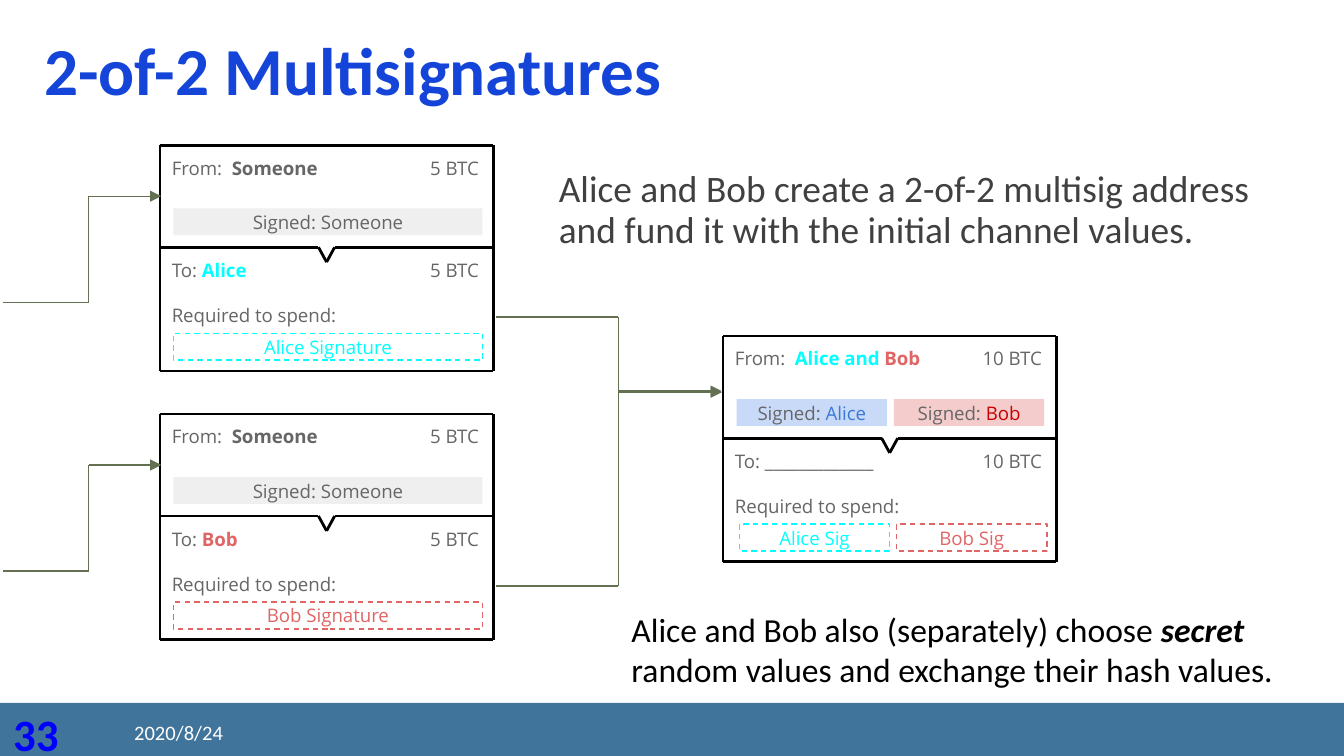
from itertools import pairwise

from lxml import etree
from pptx import Presentation
from pptx.dml.color import RGBColor
from pptx.enum.dml import MSO_LINE
from pptx.enum.shapes import MSO_CONNECTOR, MSO_SHAPE
from pptx.enum.text import MSO_ANCHOR as ANCHOR, PP_ALIGN as ALIGN
from pptx.oxml.ns import qn
from pptx.util import Inches, Pt

GRAY, CYAN, RED = "666666", "00FFFF", "E06666"
SMALL = {"size": Pt(10), "name": "Open Sans"}
CARD_W, DIVIDER_Y, CARD_H = 2.48, 0.76, 1.68


def color(hex_value):
    return RGBColor.from_string(hex_value)


def write(sp, runs, font, align=ALIGN.LEFT, anchor=ANCHOR.TOP, inset=0.1, spacing=None):
    """Fill a shape with one paragraph; runs are (text, hex colour, extra font values)."""
    tf = sp.text_frame
    frame = {"word_wrap": True, "vertical_anchor": anchor,
             "margin_left": Inches(0.1), "margin_right": Inches(0.1),
             "margin_top": Inches(inset), "margin_bottom": Inches(inset)}
    for key, value in frame.items():
        setattr(tf, key, value)
    p = tf.paragraphs[0]
    p.alignment, p.line_spacing = align, spacing
    for text, hex_value, extra in runs:
        r = p.add_run()
        r.text = text
        for key, value in (font | extra).items():
            setattr(r.font, key, value)
        r.font.color.rgb = color(hex_value)


def add_text(s, box, runs, font, **layout):
    write(s.shapes.add_textbox(*map(Inches, box)), runs, font, **layout)


def add_rect(s, box, fill=None, dash=None):
    sp = s.shapes.add_shape(MSO_SHAPE.RECTANGLE, *map(Inches, box))
    sp.shadow.inherit = False
    if fill:
        sp.fill.solid()
        sp.fill.fore_color.rgb = color(fill)
    else:
        sp.fill.background()
    if dash:
        sp.line.color.rgb = color(dash)
        sp.line.width = Pt(0.75)
        sp.line.dash_style = MSO_LINE.DASH
    else:
        sp.line.fill.background()
    return sp


def add_path(s, points, hex_value, width, arrow=False):
    """Join the points with straight connectors, with an optional arrowhead at the end."""
    for start, end in pairwise(points):
        line = s.shapes.add_connector(MSO_CONNECTOR.STRAIGHT, *map(Inches, start + end))
        line.line.color.rgb = color(hex_value)
        line.line.width = Pt(width)
        etree.SubElement(line._element.spPr, qn("a:effectLst"))
    if arrow:
        etree.SubElement(line.line._get_or_add_ln(), qn("a:tailEnd"), type="triangle")


def add_slots(s, x, y, slots):
    """Place one wide slot or two half slots side by side."""
    width = 2.3 if len(slots) == 1 else 1.12
    for i, (style, runs) in enumerate(slots):
        sp = add_rect(s, (x + i * 1.17, y, width, 0.2), **style)
        write(sp, runs, SMALL, ALIGN.CENTER, ANCHOR.MIDDLE)


def add_transaction(s, x, y, amount, sender, receiver, signed, required):
    # Frame halves and notched divider
    outlines = [
        [(0, DIVIDER_Y), (0, 0), (CARD_W, 0), (CARD_W, DIVIDER_Y)],
        [(0, DIVIDER_Y), (0, CARD_H), (CARD_W, CARD_H), (CARD_W, DIVIDER_Y)],
        [(0, DIVIDER_Y), (1.18, DIVIDER_Y), (1.24, 0.87), (1.3, DIVIDER_Y), (CARD_W, DIVIDER_Y)],
    ]
    for outline in outlines:
        add_path(s, [(x + dx, y + dy) for dx, dy in outline], "000000", 1.5)

    # Input and output rows
    for dy, label, party in ((0, "From:  ", sender), (0.76, "To: ", receiver)):
        add_text(s, (x - 0.01, y + dy, 1.62, 0.39), [(label, GRAY, {})] + party, SMALL)
        add_text(s, (x + 1.32, y + dy, 1.15, 0.39), [(amount, GRAY, {})], SMALL,
                 align=ALIGN.RIGHT)
    add_text(s, (x - 0.01, y + 1.1, 1.9, 0.38), [("Required to spend:", GRAY, {})], SMALL)

    # Signatures given and required
    add_slots(s, x + 0.1, y + 0.47, signed)
    add_slots(s, x + (0.1 if len(required) == 1 else 0.12), y + 1.4, required)


def signed_by(name, fill, hex_value):
    return {"fill": fill}, [("Signed: ", GRAY, {}), (name, hex_value, {})]


def needs(text, hex_value):
    return {"dash": hex_value}, [(text, hex_value, {})]


def add_footer(s, x, y, width, height):
    add_rect(s, (x, y, width, height), fill="40749B")
    add_text(s, (x, y - 0.02, 0.69, 0.4), [("33", "0000FF", {"bold": True})],
             {"size": Pt(24), "name": "Calibri"}, inset=0.05)
    add_text(s, (x + 0.9, y + 0.07, 2.03, 0.3), [("2020/8/24", "FFFFFF", {})],
             {"size": Pt(11), "name": "Calibri"}, anchor=ANCHOR.MIDDLE, inset=0.05)


def add_statements(s):
    add_text(s, (0.23, 0.18, 9.65, 0.65), [("2-of-2 Multisignatures", "1544D9", {"bold": True})],
             {"size": Pt(36), "name": "Calibri"}, spacing=0.9)
    add_text(s, (4.06, 1.17, 5.54, 0.73),
             [("Alice and Bob create a 2-of-2 multisig address and fund it "
               "with the initial channel values.", "404040", {})],
             {"size": Pt(20), "name": "Calibri"}, spacing=0.9)
    add_text(s, (4.6, 4.48, 5, 0.71),
             [("Alice and Bob also (separately) choose ", "000000", {}),
              ("secret", "000000", {"bold": True, "italic": True}),
              (" random values and exchange their hash values.", "000000", {})],
             {"size": Pt(18), "name": "Calibri"}, inset=0.05)


def add_diagram(s):
    bold = {"bold": True}
    # Funding transactions with their incoming and outgoing arrows
    for y, name, hex_value, join_y in ((1.08, "Alice", CYAN, 2.91), (3.08, "Bob", RED, 2.92)):
        add_transaction(s, 1.19, y, "5 BTC", [("Someone", GRAY, bold)],
                        [(name, hex_value, bold)],
                        [signed_by("Someone", "EFEFEF", GRAY)],
                        [needs(f"{name} Signature", hex_value)])
        for points in (
            [(0.02, y + 1.17), (0.66, y + 1.17), (0.66, y + 0.38), (1.2, y + 0.38)],
            [(3.69, y + 1.28), (4.6, y + 1.28), (4.6, join_y), (5.37, join_y)],
        ):
            add_path(s, points, "637052", 0.75, arrow=True)

    # Shared transaction
    add_transaction(s, 5.38, 2.5, "10 BTC",
                    [("Alice and ", CYAN, bold), ("Bob", RED, bold)],
                    [("_____________", GRAY, {})],
                    [signed_by("Alice", "C9DAF8", "3C78D8"), signed_by("Bob", "F4CCCC", "CC0000")],
                    [needs("Alice Sig", CYAN), needs("Bob Sig", RED)])


def main():
    prs = Presentation()
    # Widescreen 16:9
    prs.slide_width = Inches(10)
    prs.slide_height = prs.slide_width * 9 // 16
    s = prs.slides.add_slide(prs.slide_layouts[6])
    add_footer(s, 0, 5.23, 10, 0.41)
    add_diagram(s)
    add_statements(s)
    prs.save("out.pptx")


if __name__ == "__main__":
    main()
